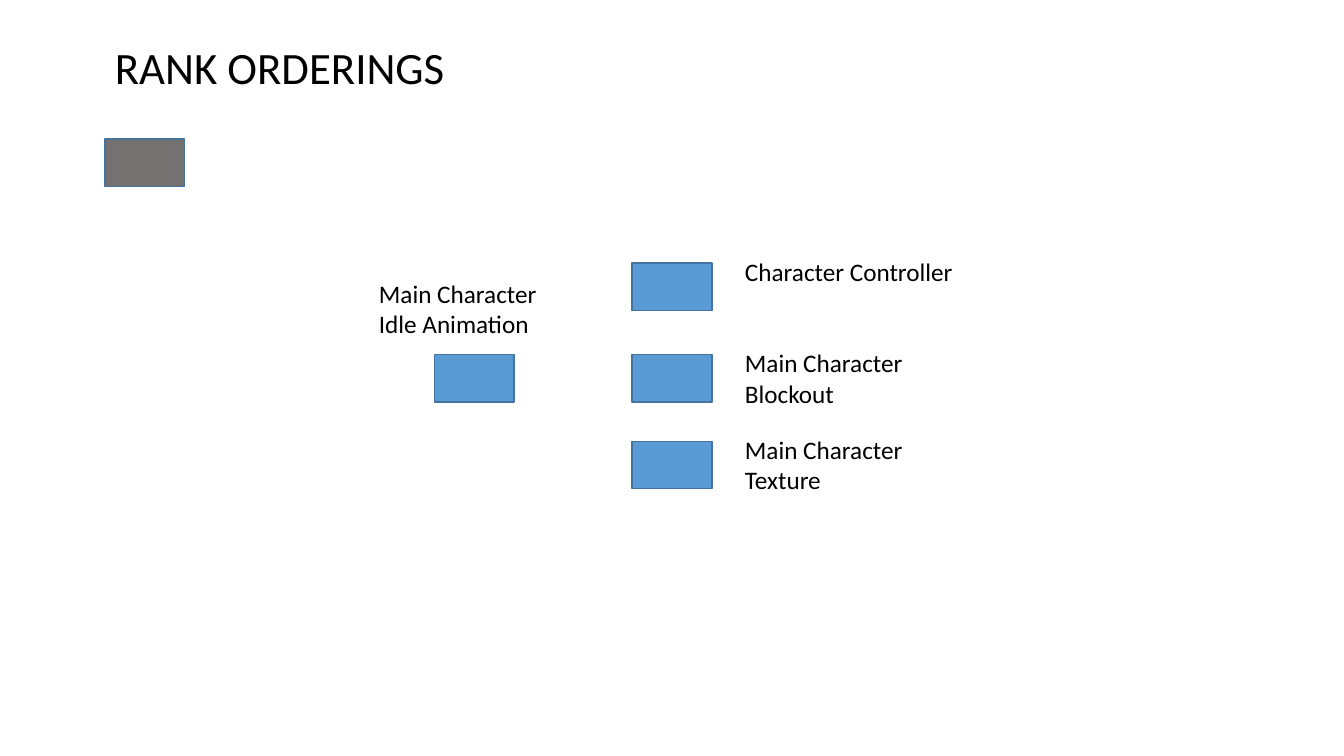
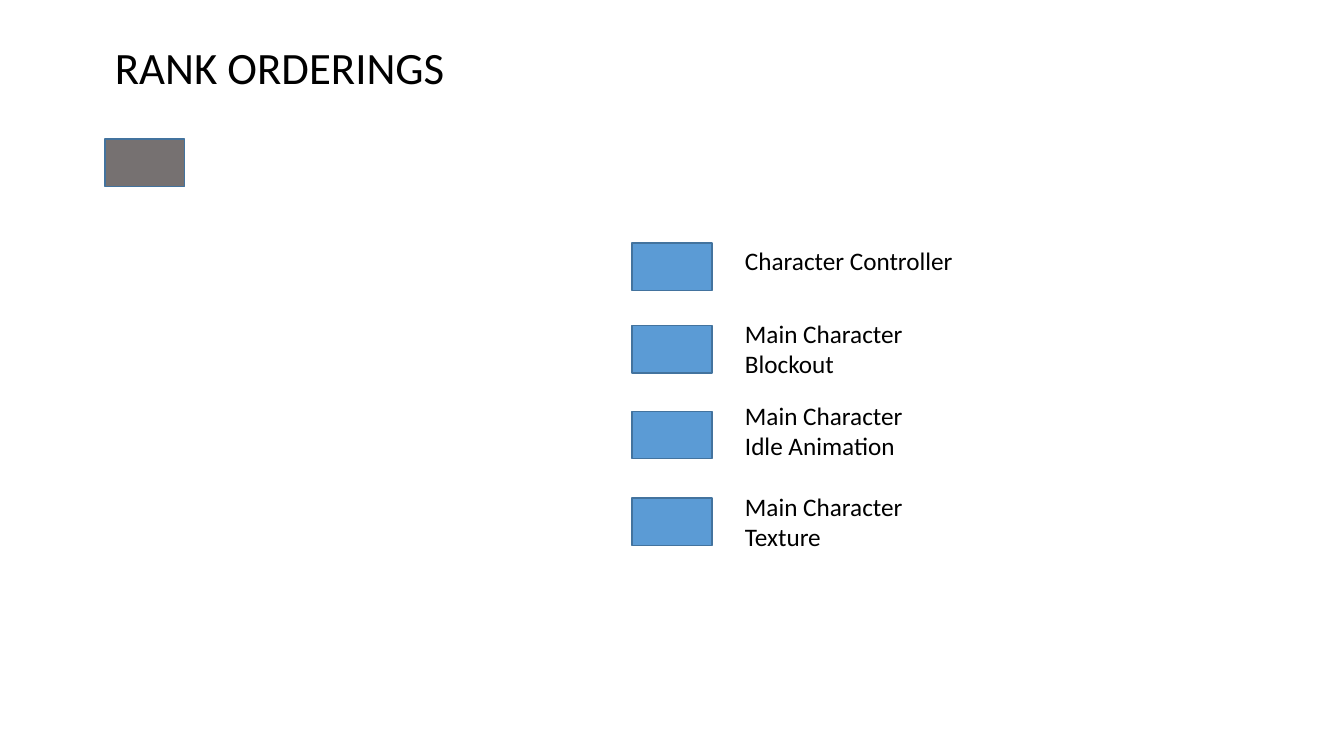
from dataclasses import dataclass

from pptx import Presentation
from pptx.dml.color import RGBColor
from pptx.enum import shapes, text
from pptx.util import Inches, Pt


@dataclass(frozen=True)
class Theme:
    font: str = "Calibri"
    ink: str = "000000"
    gray: str = "767171"
    blue: str = "5B9BD5"
    edge: str = "43739E"
    head: int = 32
    body: int = 18


THEME = Theme()
TITLE = "RANK ORDERINGS"
CARD = (0.79, 0.47)
COLUMN = 6.27
CONTROL = "Character Controller"
BLOCKOUT = "Main Character\nBlockout"
IDLE = "Main Character\nIdle Animation"
TEXTURE = "Main Character\nTexture"
BESIDE = (1.02, -0.12)
ABOVE = (-0.65, -0.81)

SLIDES = [
    [
        (COLUMN, 2.61, CONTROL, BESIDE),
        (COLUMN, 3.52, BLOCKOUT, BESIDE),
        (COLUMN, 4.38, TEXTURE, BESIDE),
        (4.31, 3.52, IDLE, ABOVE),
    ],
    [
        (COLUMN, 2.41, CONTROL, (1.02, -0.03)),
        (COLUMN, 3.23, BLOCKOUT, BESIDE),
        (COLUMN, 4.08, IDLE, (1.02, -0.16)),
        (COLUMN, 4.94, TEXTURE, BESIDE),
    ],
]


def apply(item, values):
    for name, value in values.items():
        setattr(item, name, value)


def write(frame, words, size, frame_style, line_style):
    frame.text = words
    apply(frame, frame_style)
    for line in frame.paragraphs:
        apply(line, {"alignment": text.PP_ALIGN.LEFT, **line_style})
        for run in line.runs:
            apply(run.font, {"name": THEME.font, "size": Pt(size)})
            run.font.color.rgb = RGBColor.from_string(THEME.ink)


def add_title(slide, left, top, width, height):
    title = slide.shapes.title
    apply(title, {
        "left": Inches(left), "top": Inches(top),
        "width": Inches(width), "height": Inches(height),
    })
    write(title.text_frame, TITLE, THEME.head, {
        "word_wrap": True,
        "auto_size": text.MSO_AUTO_SIZE.NONE,
        "vertical_anchor": text.MSO_ANCHOR.TOP,
    }, {"line_spacing": 0.9, "space_before": Pt(10)})


def add_card(slide, left, top, fill):
    card = slide.shapes.add_shape(
        shapes.MSO_SHAPE.RECTANGLE, *map(Inches, (left, top, *CARD)))
    card.shadow.inherit = False
    card.fill.solid()
    card.fill.fore_color.rgb = RGBColor.from_string(fill)
    card.line.color.rgb = RGBColor.from_string(THEME.edge)
    card.line.width = Pt(1)


def add_label(slide, left, top, words):
    size = (1.78, 0.71) if "\n" in words else (2.28, 0.4)
    label = slide.shapes.add_textbox(*map(Inches, (left, top, *size)))
    write(label.text_frame, words, THEME.body, {
        "word_wrap": False,
        "auto_size": text.MSO_AUTO_SIZE.SHAPE_TO_FIT_TEXT,
    }, {})


def add_rank(slide, left, top, words, shift):
    add_card(slide, left, top, THEME.blue)
    add_label(slide, left + shift[0], top + shift[1], words)


def add_slide(deck, ranks):
    slide = deck.slides.add_slide(deck.slide_layouts.get_by_name("Title Only"))
    add_title(slide, 1.04, 0.4, 8.79, 0.69)
    add_card(slide, 1.04, 1.38, THEME.gray)
    for rank in ranks:
        add_rank(slide, *rank)


def main():
    deck = Presentation()
    apply(deck, {"slide_width": Inches(13.33), "slide_height": Inches(7.5)})
    for ranks in SLIDES:
        add_slide(deck, ranks)
    deck.save("out.pptx")


if __name__ == "__main__":
    main()
